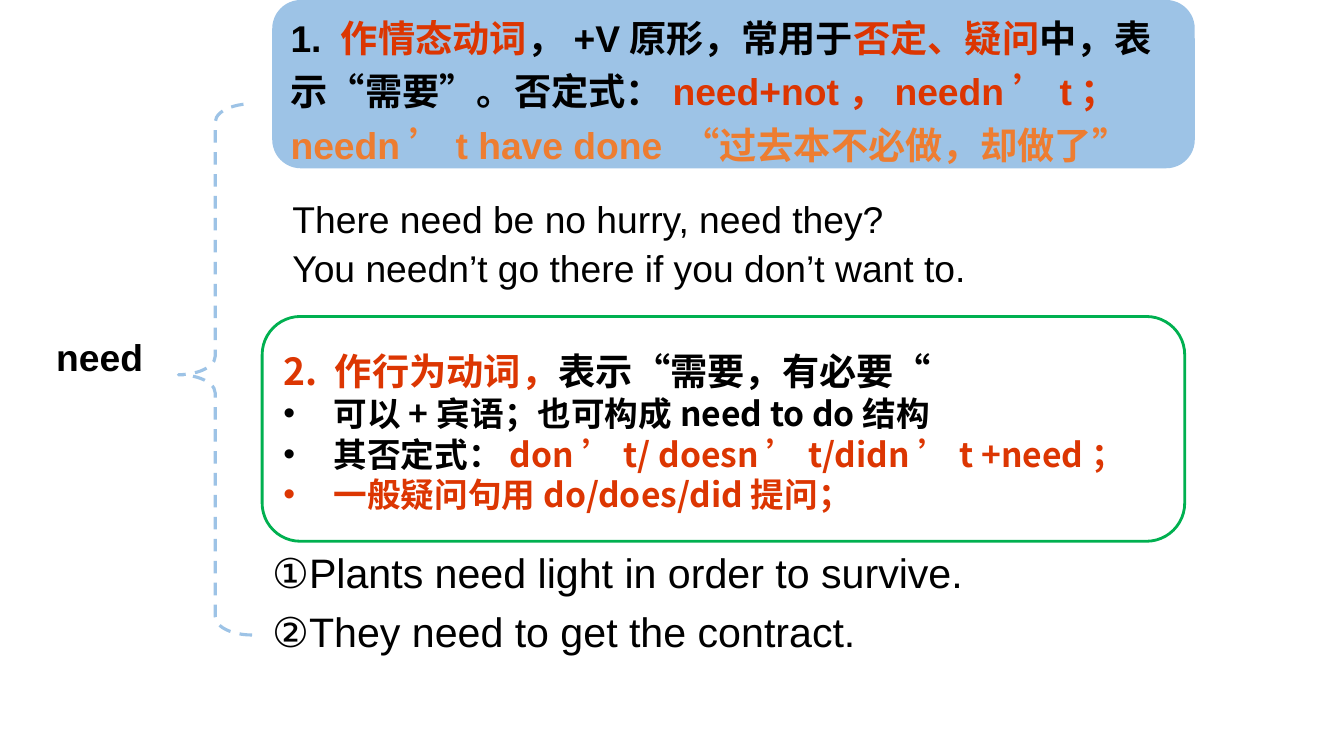
from lxml import etree
from pptx import Presentation
from pptx.dml.color import RGBColor
from pptx.enum.dml import MSO_LINE
from pptx.enum.shapes import MSO_SHAPE
from pptx.enum.text import MSO_ANCHOR, PP_ALIGN
from pptx.oxml.ns import qn
from pptx.util import Pt

PX = 9144  # EMU per px, 100 px to the inch
ROUND, BRACE = MSO_SHAPE.ROUNDED_RECTANGLE, MSO_SHAPE.LEFT_BRACE
CALL = MSO_SHAPE.RECTANGULAR_CALLOUT
DASH, MID, TOP = MSO_LINE.DASH, MSO_ANCHOR.MIDDLE, MSO_ANCHOR.TOP
LEFT, MIDDLE = PP_ALIGN.LEFT, PP_ALIGN.CENTER
HEX = {"black": "000000", "red": "DC3602", "orange": "ED7D31",
       "blue": "9DC3E6", "green": "00B050"}
LATIN, HAN = "Arial", "Noto Sans CJK SC"

# Each paragraph is a list of (text, colour) runs
MODAL = [
    [("1. ", "black"), ("作情态动词", "red"), ("，+V原形，常用于", "black"),
     ("否定、疑问", "red"), ("中，表示“需要”。否定式：", "black"),
     ("need+not，needn’t；", "red")],
    [("needn’t have done “过去本不必做，却做了”", "orange")],
]
VERB = [[("2. 作行为动词，", "red"), ("表示“需要，有必要“", "black")]]
RULES = [
    [("可以+宾语；也可构成need to do结构", "black")],
    [("其否定式：", "black"), ("don’t/ doesn’t/didn’t +need；", "red")],
    [("一般疑问句用do/does/did提问；", "red")],
]
HURRY = [[("There need be no hurry, need they?", "black")],
         [("You needn’t go there if you don’t want to.", "black")]]
PLANTS = [[("①Plants need light in order to survive.", "black")],
          [("②They need to get the contract.", "black")]]


def paint(name):
    return RGBColor.from_string(HEX[name])


def emu(box):
    return [n * PX for n in box]


def add_form(slide, kind, box, adj, fill=None, line=None, width=2):
    """Add a preset shape with optional fill and outline."""
    form = slide.shapes.add_shape(kind, *emu(box))
    form.shadow.inherit = False
    for i, value in enumerate(adj):
        form.adjustments[i] = value
    if fill:
        form.fill.solid()
        form.fill.fore_color.rgb = paint(fill)
    else:
        form.fill.background()
    if line:
        form.line.color.rgb = paint(line)
        form.line.width = Pt(width)
    else:
        form.line.fill.background()
    return form


def set_frame(form, pad=(10, 5, 10, 5), anchor=MID):
    frame = form.text_frame
    left, top, right, low = emu(pad)
    look = {"word_wrap": True, "vertical_anchor": anchor, "margin_left": left,
            "margin_top": top, "margin_right": right, "margin_bottom": low}
    for key, value in look.items():
        setattr(frame, key, value)
    return frame


def add_bullet(para):
    props = para._p.get_or_add_pPr()
    props.set("marL", str(50 * PX))
    props.set("indent", str(-50 * PX))
    etree.SubElement(props, qn("a:buFont")).set("typeface", LATIN)
    etree.SubElement(props, qn("a:buChar")).set("char", "•")


def write(frame, paras, size, face=LATIN, bold=False, space=1.0,
          align=LEFT, bullet=False):
    """Write paragraphs, continuing after any text already there."""
    for runs in paras:
        para = frame.paragraphs[0] if not frame.text else frame.add_paragraph()
        para.alignment, para.line_spacing = align, space
        if bullet:
            add_bullet(para)
        for text, tint in runs:
            run = para.add_run()
            run.text = text
            look = {"size": Pt(size), "name": face, "bold": bold}
            for key, value in look.items():
                setattr(run.font, key, value)
            run.font.color.rgb = paint(tint)
            east = etree.SubElement(run._r.get_or_add_rPr(), qn("a:ea"))
            east.set("typeface", HAN)


def add_shade(run):
    """Give the run a soft drop shadow."""
    group = etree.Element(qn("a:effectLst"))
    drop = etree.SubElement(group, qn("a:outerShdw"), blurRad="38100",
                            dist="19050", dir="2700000")
    tint = etree.SubElement(drop, qn("a:srgbClr"), val=HEX["black"])
    etree.SubElement(tint, qn("a:alpha"), val="40000")
    run._r.get_or_add_rPr().find(qn("a:solidFill")).addnext(group)


def add_note(slide, box, paras, size, space, left=10):
    note = slide.shapes.add_textbox(*emu(box))
    frame = set_frame(note, (left, 5, 10, 5), TOP)
    write(frame, paras, size, space=space)


def main():
    deck = Presentation()
    deck.slide_width, deck.slide_height = emu((1333, 750))
    slide = deck.slides.add_slide(deck.slide_layouts[6])

    # Key word and brace
    word = add_form(slide, CALL, (21, 270, 156, 167), (-0.23, 0.5))
    frame = set_frame(word)
    write(frame, [[("need", "black")]], 26.6, bold=True, align=MIDDLE)
    add_shade(frame.paragraphs[0].runs[0])
    brace = add_form(slide, BRACE, (177, 103, 73, 527), (0.25, 0.51),
                     line="blue", width=2.25)
    brace.line.dash_style = DASH

    # Rule boxes
    pad = (10, 26, 10, 21)
    modal = add_form(slide, ROUND, (270, 0, 915, 167), (0.17,), fill="blue")
    write(set_frame(modal, pad), MODAL, 26.6, bold=True, space=1.2)
    verb = add_form(slide, ROUND, (260, 314, 915, 223), (0.17,), line="green")
    frame = set_frame(verb, pad)
    write(frame, VERB, 26.6, HAN, True)
    write(frame, RULES, 24, HAN, True, bullet=True)

    # Example sentences
    add_note(slide, (260, 185, 1046, 109), HURRY, 26.6, 1.1, left=30)
    add_note(slide, (260, 528, 995, 129), PLANTS, 29.4, 1.2)
    deck.save("out.pptx")


if __name__ == "__main__":
    main()
